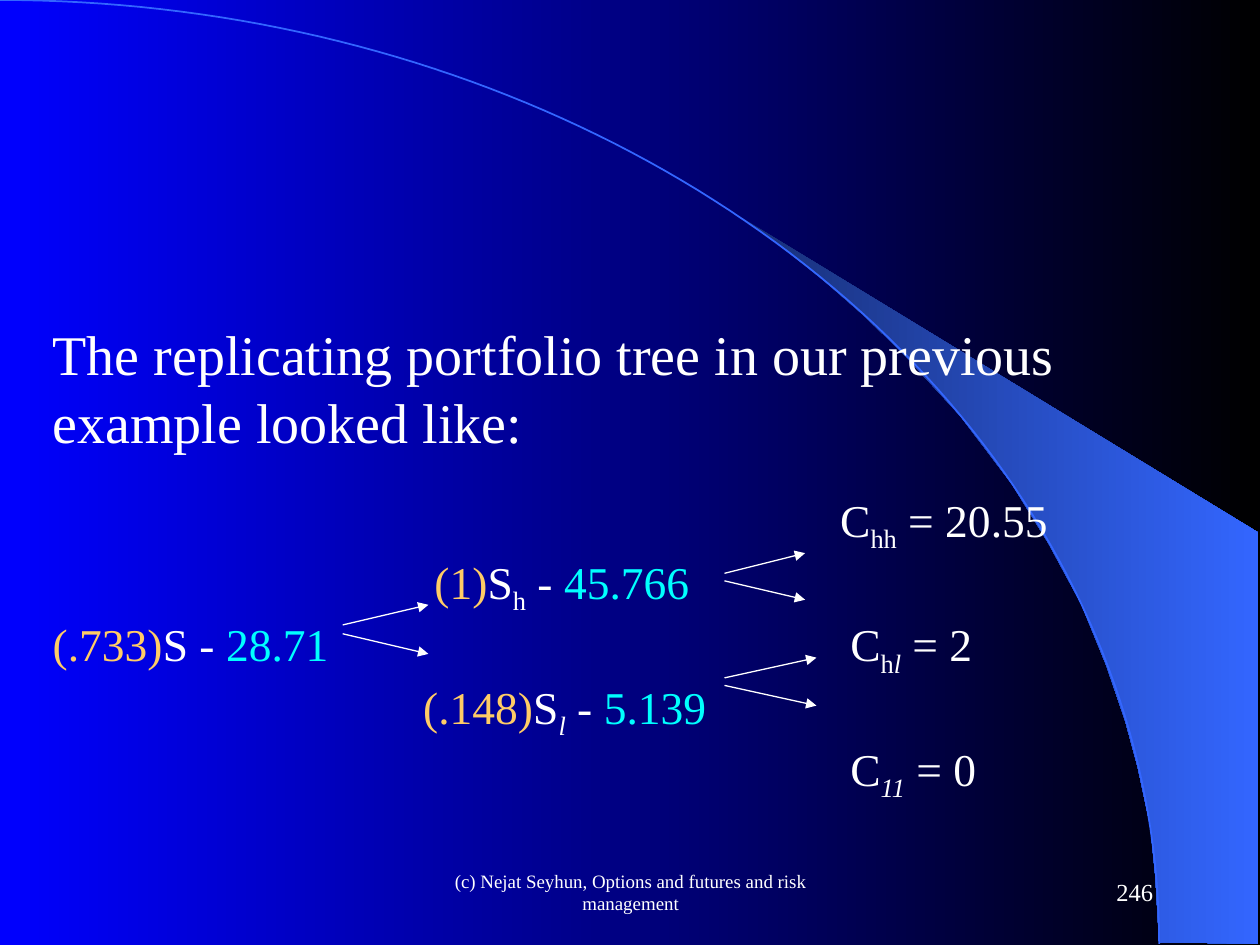
"""Build a slide with a replicating portfolio tree for an option."""
from math import cos, pi, sin

from lxml import etree
from pptx import Presentation
from pptx.dml.color import RGBColor
from pptx.enum.shapes import MSO_CONNECTOR
from pptx.enum.text import MSO_ANCHOR, PP_ALIGN
from pptx.oxml.ns import qn
from pptx.util import Inches, Pt

STRAIGHT = MSO_CONNECTOR.STRAIGHT
MIDDLE = MSO_ANCHOR.MIDDLE
CENTER, RIGHT = PP_ALIGN.CENTER, PP_ALIGN.RIGHT
FONT = "Times New Roman"
WHITE, GOLD, CYAN, BLUE = "FFFFFF", "FFCC66", "00FFFF", "3366FF"


def color(value):
    """Turn a hex string into a colour."""
    return RGBColor.from_string(value)


def set_gradient(fill, start, end):
    """Fill from left to right with two colours."""
    fill.gradient()
    fill.gradient_angle = 0
    for stop, position, value in zip(fill.gradient_stops, (0, 1), (start, end)):
        stop.position = position
        stop.color.rgb = color(value)


presentation = Presentation()
presentation.slide_width, presentation.slide_height = Inches(10), Inches(7.5)
slide = presentation.slides.add_slide(presentation.slide_layouts[6])
set_gradient(slide.background.fill, "0000FF", "000000")

beam_points = [
    (9.2, 7.48), (9.99, 7.49), (9.99, 4.23), (5.89, 1.73), (6.24, 1.99), (6.53, 2.22),
    (6.85, 2.5), (7.16, 2.8), (7.62, 3.3), (8.03, 3.84), (8.32, 4.31), (8.58, 4.79),
    (8.78, 5.28), (8.93, 5.72), (9.03, 6.09), (9.13, 6.56), (9.17, 6.96),
]
arc_steps = 90
arc_points = [
    (9.2 * sin(step / arc_steps * pi / 2), 7.49 * (1 - cos(step / arc_steps * pi / 2)))
    for step in range(arc_steps + 1)
]
outlines = []
for points, closed in ((beam_points, True), (arc_points, False)):
    corners = [(Inches(x), Inches(y)) for x, y in points]
    builder = slide.shapes.build_freeform(*corners[0])
    builder.add_line_segments(corners[1:], close=closed)
    shape = builder.convert_to_shape()
    shape.shadow.inherit = False
    outlines.append(shape)
beam, arc = outlines
set_gradient(beam.fill, "182F76", BLUE)
beam.line.fill.background()
arc.fill.background()
arc.line.color.rgb = color(BLUE)
arc.line.width = Pt(1)

footers = [
    (3.42, 3.17, "(c) Nejat Seyhun, Options and futures and risk management", 10.8, CENTER),
    (7.17, 2.08, "246", 14, RIGHT),
]
for left, width, text, size, alignment in footers:
    box = slide.shapes.add_textbox(Inches(left), Inches(6.83), Inches(width), Inches(0.5))
    frame = box.text_frame
    frame.word_wrap = True
    frame.vertical_anchor = MIDDLE
    paragraph = frame.paragraphs[0]
    paragraph.text = text
    paragraph.alignment = alignment
    paragraph.font.name, paragraph.font.size = FONT, Pt(size)
    paragraph.font.color.rgb = color(WHITE)

box = slide.shapes.add_textbox(Inches(0.32), Inches(2.48), Inches(9.37), Inches(4.53))
frame = box.text_frame
frame.word_wrap = True
paragraph = frame.paragraphs[0]
paragraph.text = "The replicating portfolio tree in our previous example looked like:"
paragraph.line_spacing = Pt(38.9)
paragraph.font.name, paragraph.font.size = FONT, Pt(32)
paragraph.font.color.rgb = color(WHITE)

tree_rows = [
    ([6.25], [("\tC", WHITE, ""), ("hh", WHITE, "sub"), (" = 20.55", WHITE, "")]),
    ([3.03], [("\t(1)", GOLD, ""), ("S", WHITE, ""), ("h", WHITE, "sub"),
              (" - ", WHITE, ""), ("45.766", CYAN, "")]),
    ([6.33], [("(.733)", GOLD, ""), ("S - ", WHITE, ""), ("28.71", CYAN, ""),
              ("\tC", WHITE, ""), ("h", WHITE, "sub"), ("l", WHITE, "sub italic"),
              (" = 2", WHITE, "")]),
    ([2.94], [("\t(.148)", GOLD, ""), ("S", WHITE, ""), ("l", WHITE, "sub italic"),
              (" - ", WHITE, ""), ("5.139", CYAN, "")]),
    ([6.33], [("\tC", WHITE, ""), ("11", WHITE, "sub italic"), (" = 0", WHITE, "")]),
]
for index, (tabs, parts) in enumerate(tree_rows):
    paragraph = frame.add_paragraph()
    paragraph.line_spacing = Pt(35.6)
    paragraph.space_before = Pt(0 if index else 21)
    tab_list = etree.SubElement(paragraph._p.get_or_add_pPr(), qn("a:tabLst"))
    for tab in tabs:
        etree.SubElement(tab_list, qn("a:tab"), pos=str(Inches(tab)), algn="l")
    paragraph.font.name, paragraph.font.size = FONT, Pt(26)
    for text, value, style in parts:
        run = paragraph.add_run()
        run.text = text
        run.font.color.rgb = color(value)
        if "italic" in style:
            run.font.italic = True
        if "sub" in style:
            run.font._element.set("baseline", "-25000")

branches = [
    (2.72, 4.96, 3.4, 4.8), (2.72, 5.03, 3.4, 5.19),
    (5.75, 4.55, 6.39, 4.39), (5.75, 4.61, 6.39, 4.76),
    (5.75, 5.38, 6.48, 5.22), (5.75, 5.44, 6.48, 5.6),
]
for branch in branches:
    arrow = slide.shapes.add_connector(STRAIGHT, *map(Inches, branch))
    arrow.line.color.rgb = color(WHITE)
    arrow.line.width = Pt(0.75)
    etree.SubElement(arrow.line._get_or_add_ln(), qn("a:tailEnd"), type="triangle")
    etree.SubElement(arrow._element.spPr, qn("a:effectLst"))

presentation.save("out.pptx")
